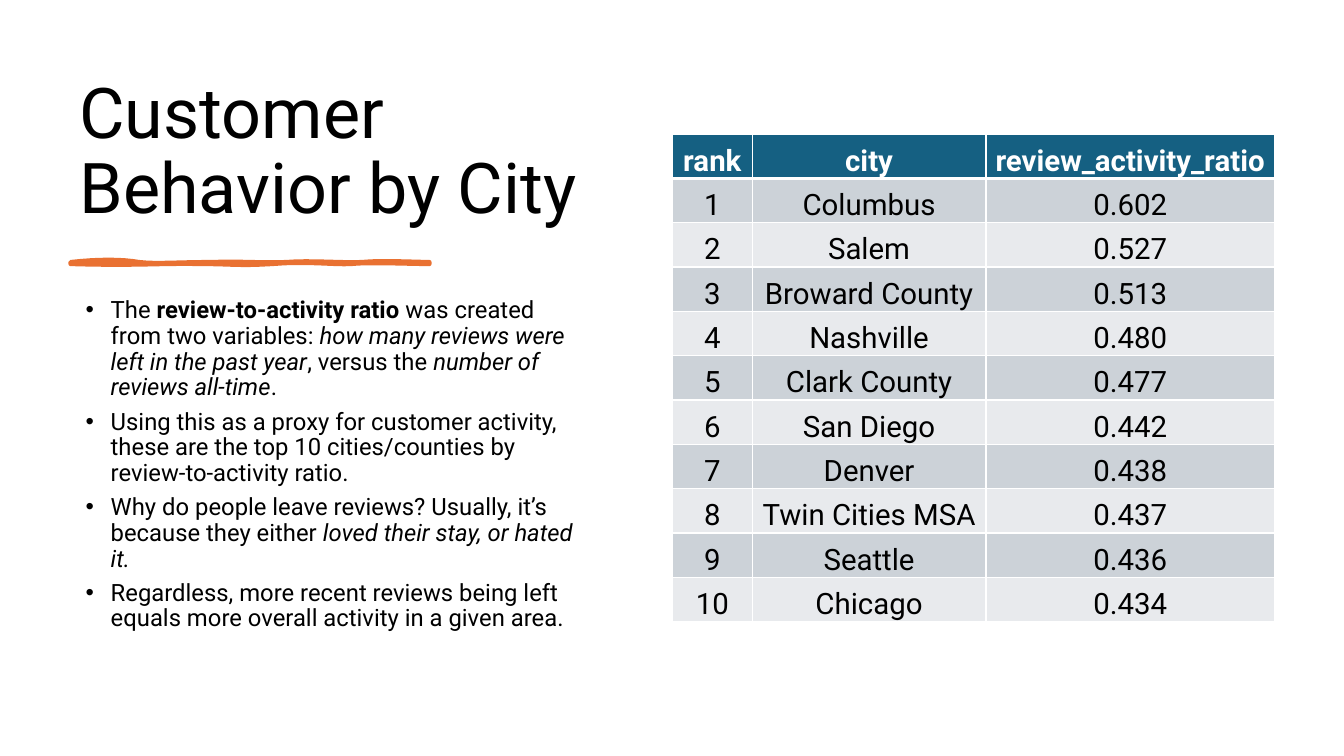
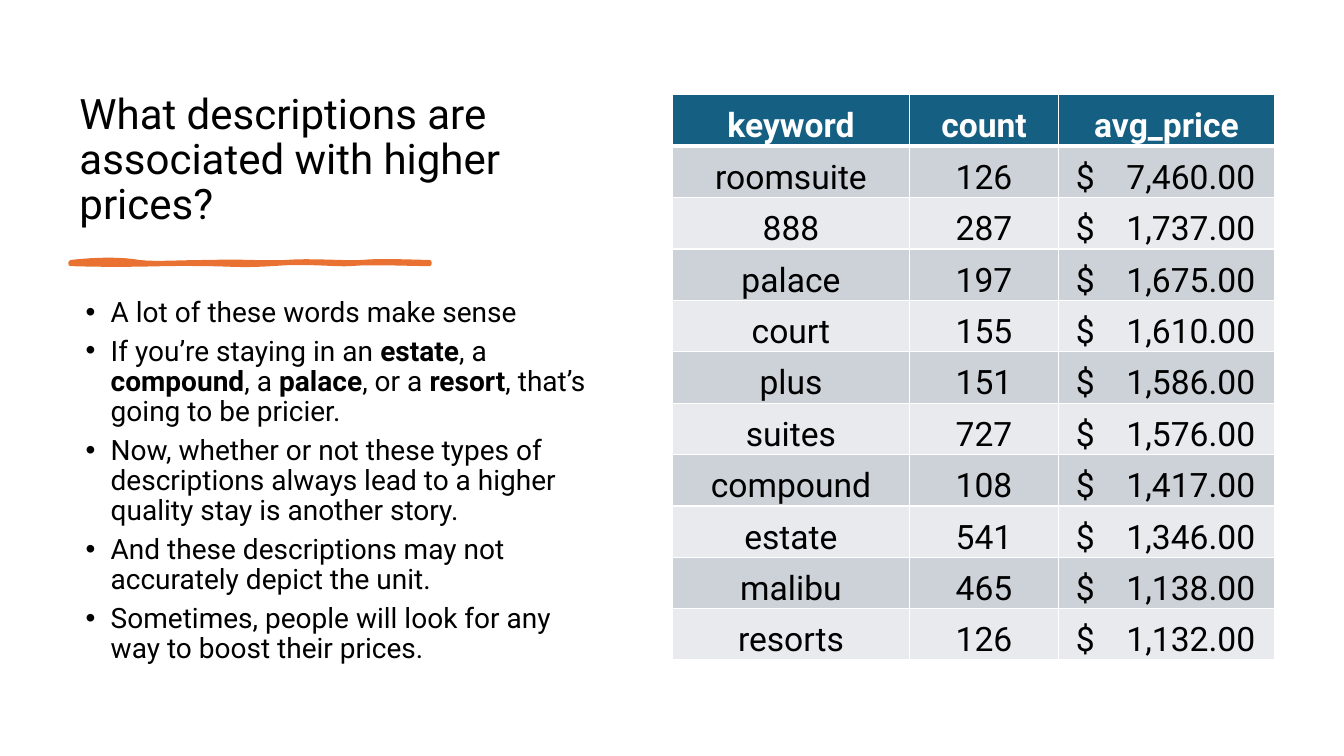
"""Build two slides that pair a bulleted explanation with a ranked table."""
from lxml import etree
from pptx import Presentation
from pptx import util as u
from pptx.dml.color import RGBColor
from pptx.enum import text
from pptx.oxml.ns import qn

BLACK = RGBColor(0x00, 0x00, 0x00)
WHITE = RGBColor(0xFF, 0xFF, 0xFF)
ORANGE = RGBColor(0xE9, 0x71, 0x32)
TEAL = RGBColor(0x15, 0x60, 0x82)
BANDS = RGBColor(0xCC, 0xD2, 0xD8), RGBColor(0xE8, 0xEA, 0xED)

LEFT, TEXT_WIDTH = 0.69, 5.27
TABLE_LEFT = 6.67
PRICE_INDENT, PRICE_TAB = 0.17, 1.78

STROKE_START = (0.7, 2.6)
STROKE_CURVES = [
    ((0.97, 2.57), (1.21, 2.57), (1.38, 2.6)),
    ((1.55, 2.62), (1.77, 2.6), (2.09, 2.6)),
    ((2.41, 2.59), (2.6, 2.61), (2.84, 2.6)),
    ((3.08, 2.58), (3.39, 2.61), (3.59, 2.6)),
    ((3.79, 2.58), (4.12, 2.6), (4.26, 2.6)),
    ((4.26, 2.6), (4.26, 2.61), (4.26, 2.62)),
    ((4.08, 2.62), (3.64, 2.6), (3.48, 2.62)),
    ((3.32, 2.63), (3.04, 2.59), (2.7, 2.62)),
    ((2.35, 2.64), (2.31, 2.62), (1.99, 2.62)),
    ((1.66, 2.61), (1.32, 2.64), (0.7, 2.62)),
]

CITY_BULLETS = [
    [("The ", ""), ("review-to-activity ratio ", "b"),
     ("was created from two variables: ", ""),
     ("how many reviews were left in the past year", "i"),
     (", versus the ", ""), ("number of reviews all-time", "i"), (".", "")],
    [("Using this as a proxy for customer activity, these are the top 10 "
      "cities/counties by review-to-activity ratio.", "")],
    [("Why do people leave reviews? Usually, it’s because they either ", ""),
     ("loved their stay, or hated it.", "i")],
    [("Regardless, more recent reviews being left equals more overall "
      "activity in a given area.", "")],
]
CITY_RATIOS = [
    ("Columbus", "0.602"), ("Salem", "0.527"), ("Broward County", "0.513"),
    ("Nashville", "0.480"), ("Clark County", "0.477"), ("San Diego", "0.442"),
    ("Denver", "0.438"), ("Twin Cities MSA", "0.437"), ("Seattle", "0.436"),
    ("Chicago", "0.434"),
]
KEYWORD_BULLETS = [
    [("A lot of these words make sense", "")],
    [("If you’re staying in an ", ""), ("estate", "b"), (", a ", ""),
     ("compound", "b"), (", a ", ""), ("palace", "b"), (", or a ", ""),
     ("resort", "b"), (", that’s going to be pricier.", "")],
    [("Now, whether or not these types of descriptions always lead to a "
      "higher quality stay is another story.", "")],
    [("And these descriptions may not accurately depict the unit.", "")],
    [("Sometimes, people will look for any way to boost their prices.", "")],
]
KEYWORD_PRICES = [
    ("roomsuite", 126, 7460), ("888", 287, 1737), ("palace", 197, 1675),
    ("court", 155, 1610), ("plus", 151, 1586), ("suites", 727, 1576),
    ("compound", 108, 1417), ("estate", 541, 1346), ("malibu", 465, 1138),
    ("resorts", 126, 1132),
]


def bezier(p0, p1, p2, p3, steps=8):
    """Return points along a cubic curve, leaving out its start."""
    points = []
    for step in range(1, steps + 1):
        t = step / steps
        weights = (1 - t) ** 3, 3 * t * (1 - t) ** 2, 3 * t * t * (1 - t), t ** 3
        points.append(tuple(
            u.Inches(sum(w * c for w, c in zip(weights, axis)))
            for axis in zip(p0, p1, p2, p3)))
    return points


class Deck:
    """Hold the shared style and the slide being built."""

    def __init__(self):
        """Start a widescreen presentation."""
        self.prs = Presentation()
        self.prs.slide_width = u.Inches(13.33)
        self.prs.slide_height = u.Inches(7.5)
        self.s = None

    def style(self, r, size, color=BLACK, mark=""):
        """Format one run."""
        r.font.name = "Roboto"
        r.font.size = u.Pt(size)
        r.font.color.rgb = color
        r.font.bold = "b" in mark
        r.font.italic = "i" in mark

    def textbox(self, top, height):
        """Add a wrapping text box in the left column."""
        sp = self.s.shapes.add_textbox(
            u.Inches(LEFT), u.Inches(top), u.Inches(TEXT_WIDTH), u.Inches(height))
        sp.text_frame.word_wrap = True
        return sp.text_frame

    def slide(self, title, size):
        """Add a slide with its title and brush stroke."""
        self.s = self.prs.slides.add_slide(self.prs.slide_layouts[6])
        tf = self.textbox(0.7, 1.62)
        tf.vertical_anchor = text.MSO_ANCHOR.BOTTOM
        tf.text = title
        p = tf.paragraphs[0]
        p.line_spacing = 0.9
        self.style(p.runs[0], size)
        self.brush_stroke()

    def brush_stroke(self):
        """Draw the hand-drawn rule under the title."""
        builder = self.s.shapes.build_freeform(*map(u.Inches, STROKE_START))
        start = STROKE_START
        for curve in STROKE_CURVES:
            builder.add_line_segments(bezier(start, *curve), close=False)
            start = curve[-1]
        builder.add_line_segments([tuple(map(u.Inches, STROKE_START))])
        sp = builder.convert_to_shape()
        sp.shadow.inherit = False
        sp.fill.solid()
        sp.fill.fore_color.rgb = ORANGE
        sp.line.color.rgb = ORANGE
        sp.line.width = u.Pt(3)
        etree.SubElement(sp.line._get_or_add_ln(), qn("a:round"))

    def bullets(self, items, size):
        """Add the bulleted text."""
        tf = self.textbox(2.91, 3.88)
        for i, item in enumerate(items):
            p = tf.add_paragraph() if i else tf.paragraphs[0]
            p.line_spacing = 0.9
            p.space_after = u.Pt(6)
            pPr = p._p.get_or_add_pPr()
            pPr.set("marL", str(u.Inches(0.31)))
            pPr.set("indent", str(u.Inches(-0.25)))
            etree.SubElement(pPr, qn("a:buFont"), typeface="Arial")
            etree.SubElement(pPr, qn("a:buChar"), char="•")
            for content, mark in item:
                r = p.add_run()
                r.text = content
                self.style(r, size, mark=mark)

    def borders(self, cell, row):
        """Give a cell white borders, heavy below the header."""
        heavy = {0: "B", 1: "T"}.get(row)
        for side in "LRTB":
            width = u.Pt(3 if side == heavy else 1)
            ln = etree.SubElement(
                cell._tc.get_or_add_tcPr(), qn(f"a:ln{side}"), w=str(width))
            fill = etree.SubElement(ln, qn("a:solidFill"))
            etree.SubElement(fill, qn("a:srgbClr"), val=str(WHITE))

    def cell(self, cell, row, content, size, inset):
        """Fill and format one table cell."""
        cell.margin_left = cell.margin_right = cell.margin_top = u.Inches(inset)
        cell.margin_bottom = 0
        cell.vertical_anchor = text.MSO_ANCHOR.BOTTOM
        self.borders(cell, row)
        cell.fill.solid()
        cell.fill.fore_color.rgb = BANDS[(row - 1) % 2] if row else TEAL
        cell.text_frame.text = content
        p = cell.text_frame.paragraphs[0]
        p.alignment = text.PP_ALIGN.CENTER
        if "\t" in content:
            p.alignment = text.PP_ALIGN.LEFT
            cell.margin_left = u.Inches(PRICE_INDENT)
            tabs = etree.SubElement(p._p.get_or_add_pPr(), qn("a:tabLst"))
            etree.SubElement(
                tabs, qn("a:tab"), pos=str(u.Inches(PRICE_TAB)), algn="r")
        self.style(p.runs[0], size, BLACK if row else WHITE, "" if row else "b")

    def table(self, top, widths, row_height, rows, size, inset):
        """Add a table with a header and banded rows."""
        tbl = self.s.shapes.add_table(
            len(rows), len(widths), u.Inches(TABLE_LEFT), u.Inches(top),
            u.Inches(sum(widths)), u.Inches(row_height * len(rows))).table
        for column, width in zip(tbl.columns, widths):
            column.width = u.Inches(width)
        for i, values in enumerate(rows):
            tbl.rows[i].height = u.Inches(row_height)
            for j, value in enumerate(values):
                self.cell(tbl.cell(i, j), i, str(value), size, inset)


def main():
    """Build and save both slides."""
    deck = Deck()

    deck.slide("Customer Behavior by City", 50)
    deck.bullets(CITY_BULLETS, 17)
    ranked = [(rank, *row) for rank, row in enumerate(CITY_RATIOS, 1)]
    deck.table(1.33, (0.79, 2.32, 2.86), 0.44,
               [("rank", "city", "review_activity_ratio")] + ranked, 21, 0.01)

    deck.slide("What descriptions are associated with higher prices?", 30)
    deck.bullets(KEYWORD_BULLETS, 20)
    priced = [(word, count, f"$\t{price:,.2f}")
              for word, count, price in KEYWORD_PRICES]
    deck.table(0.94, (2.35, 1.48, 2.14), 0.51,
               [("keyword", "count", "avg_price")] + priced, 24, 0.02)

    deck.prs.save("out.pptx")


if __name__ == "__main__":
    main()
